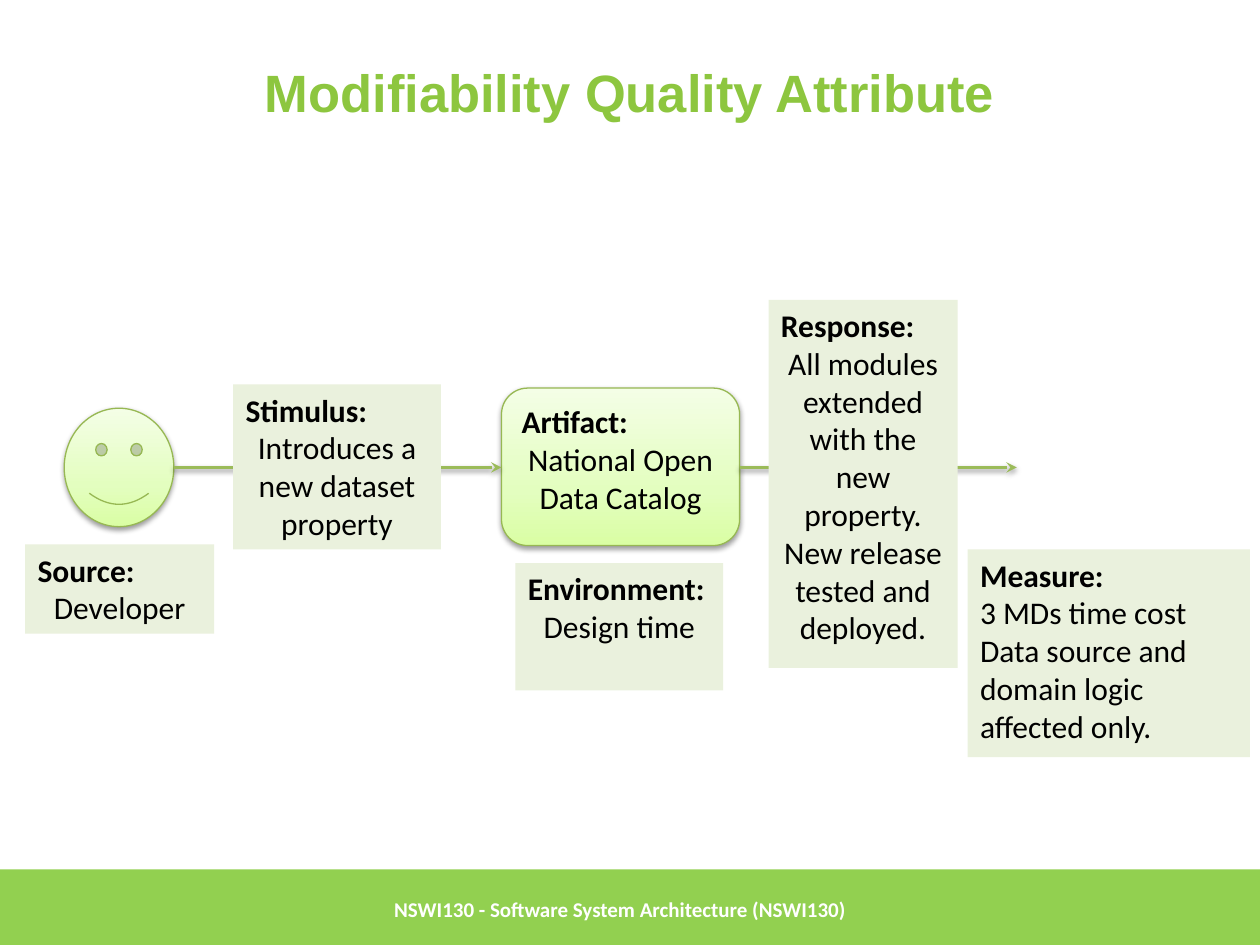
import copy

import pptx
import pptx.dml.color
import pptx.enum.shapes
import pptx.enum.text
import pptx.oxml
import pptx.oxml.ns
import pptx.util

Inches = pptx.util.Inches
Pt = pptx.util.Pt
RGBColor = pptx.dml.color.RGBColor
MSO_SHAPE = pptx.enum.shapes.MSO_SHAPE
PP_ALIGN = pptx.enum.text.PP_ALIGN
MSO_ANCHOR = pptx.enum.text.MSO_ANCHOR
qn = pptx.oxml.ns.qn

GREEN = RGBColor(0x92, 0xD0, 0x50)
TITLE_GREEN = RGBColor(0x8D, 0xC6, 0x3F)
PALE = RGBColor(0xEA, 0xF1, 0xDD)
OUTLINE = RGBColor(0x97, 0xB8, 0x53)
ARROW = RGBColor(0x9B, 0xBB, 0x59)
BLACK = RGBColor(0, 0, 0)
WHITE = RGBColor(0xFF, 0xFF, 0xFF)
GRADIENT = [
    (0, RGBColor(0xDA, 0xFE, 0xA4)),
    (35, RGBColor(0xE3, 0xFE, 0xBF)),
    (100, RGBColor(0xF4, 0xFE, 0xE6)),
]
NS = 'xmlns:a="http://schemas.openxmlformats.org/drawingml/2006/main"'
SHADOW = pptx.oxml.parse_xml(
    f'<a:effectLst {NS}><a:outerShdw blurRad="{Pt(3.1)}" dist="{Pt(1.6)}" dir="5400000" '
    'rotWithShape="0"><a:srgbClr val="000000"><a:alpha val="38000"/></a:srgbClr>'
    '</a:outerShdw></a:effectLst>'
)


def set_text(p, text, size, font, color, bold=False, align=PP_ALIGN.LEFT):
    p.text = text
    p.alignment = align
    p.font.size = Pt(size)
    p.font.name = font
    p.font.color.rgb = color
    p.font.bold = bold


def add_block(s, kind, x, y, w, h, fill=None):
    sp = s.shapes.add_shape(kind, Inches(x), Inches(y), Inches(w), Inches(h))
    sp.shadow.inherit = False
    if fill is not None:
        sp.fill.solid()
        sp.fill.fore_color.rgb = fill
    sp.line.fill.background()
    return sp


def add_line_of_text(s, x, y, w, h, text, size, font, color, align):
    tf = s.shapes.add_textbox(Inches(x), Inches(y), Inches(w), Inches(h)).text_frame
    tf.word_wrap = True
    tf.vertical_anchor = MSO_ANCHOR.MIDDLE
    set_text(tf.paragraphs[0], text, size, font, color, True, align)


def add_glossy(s, kind, x, y, w, h):
    sp = add_block(s, kind, x, y, w, h)
    sp.fill.gradient()
    sp.fill.gradient_angle = 90
    stops = sp.element.spPr.find(qn("a:gradFill")).find(qn("a:gsLst"))
    for stop in list(stops):
        stops.remove(stop)
    for pos, color in GRADIENT:
        stops.append(pptx.oxml.parse_xml(
            f'<a:gs {NS} pos="{pos * 1000}"><a:srgbClr val="{color}"/></a:gs>'
        ))
    sp.line.color.rgb = OUTLINE
    sp.line.width = Pt(0.75)
    effects = sp.element.spPr.find(qn("a:effectLst"))
    effects.append(copy.deepcopy(SHADOW[0]))
    return sp


def add_arrow(s, x1, x2, y):
    cn = s.shapes.add_connector(
        pptx.enum.shapes.MSO_CONNECTOR.STRAIGHT, Inches(x1), Inches(y), Inches(x2), Inches(y)
    )
    cn.line.color.rgb = ARROW
    cn.line.width = Pt(2)
    cn.line._get_or_add_ln().append(pptx.oxml.parse_xml(f'<a:tailEnd {NS} type="stealth"/>'))
    cn.element.spPr.append(copy.deepcopy(SHADOW))


def fill_card(sp, heading, lines, align=PP_ALIGN.CENTER):
    tf = sp.text_frame
    tf.word_wrap = True
    tf.vertical_anchor = MSO_ANCHOR.TOP
    set_text(tf.paragraphs[0], heading, 18, "Calibri", BLACK, True)
    for line in lines:
        set_text(tf.add_paragraph(), line, 18, "Calibri", BLACK, align=align)


def add_card(s, x, y, w, h, heading, lines, align=PP_ALIGN.CENTER):
    fill_card(add_block(s, MSO_SHAPE.RECTANGLE, x, y, w, h, PALE), heading, lines, align)


def add_footer(s, x, y, w, h):
    add_block(s, MSO_SHAPE.RECTANGLE, x, y, w, h, GREEN)
    add_line_of_text(s, x + 3.03, y, 6.02, h, "NSWI130 - Software System Architecture (NSWI130)",
                     12, "Calibri", WHITE, PP_ALIGN.LEFT)


def add_scenario(s, x, y):
    axis = y + 1.33
    face = add_glossy(s, MSO_SHAPE.SMILEY_FACE, x + 0.31, axis - 0.47, 0.87, 0.94)
    face.adjustments[0] = 0.047
    add_card(s, x, y + 1.94, 1.5, 0.71, "Source:", ["Developer"])
    artifact = add_glossy(s, MSO_SHAPE.ROUNDED_RECTANGLE, x + 3.78, axis - 0.63, 1.89, 1.25)
    fill_card(artifact, "Artifact:", ["National Open Data Catalog"])
    add_arrow(s, x + 1.18, x + 3.78, axis)
    add_card(s, x + 1.65, axis - 0.66, 1.65, 1.31, "Stimulus:",
             ["Introduces a new dataset property"])
    add_arrow(s, x + 5.67, x + 7.87, axis)
    add_card(s, x + 3.89, y + 2.09, 1.65, 1.01, "Environment:", ["Design time"])
    add_card(s, x + 5.9, y, 1.5, 2.92, "Response:",
             ["All modules extended with the new property.", "New release tested and deployed."])
    add_card(s, x + 7.48, y + 1.98, 2.24, 1.65, "Measure:",
             ["3 MDs time cost", "Data source and domain logic affected only."], PP_ALIGN.LEFT)


def main():
    prs = pptx.Presentation()
    prs.slide_width = Inches(10)
    prs.slide_height = Inches(7.5)
    s = prs.slides.add_slide(prs.slide_layouts[6])
    add_footer(s, 0, 6.9, 10, 0.63)
    add_line_of_text(s, 0.5, 0.3, 9, 0.85, "Modifiability Quality Attribute",
                     30, "Arial", TITLE_GREEN, PP_ALIGN.CENTER)
    add_scenario(s, 0.2, 2.38)
    prs.save("out.pptx")


if __name__ == "__main__":
    main()
